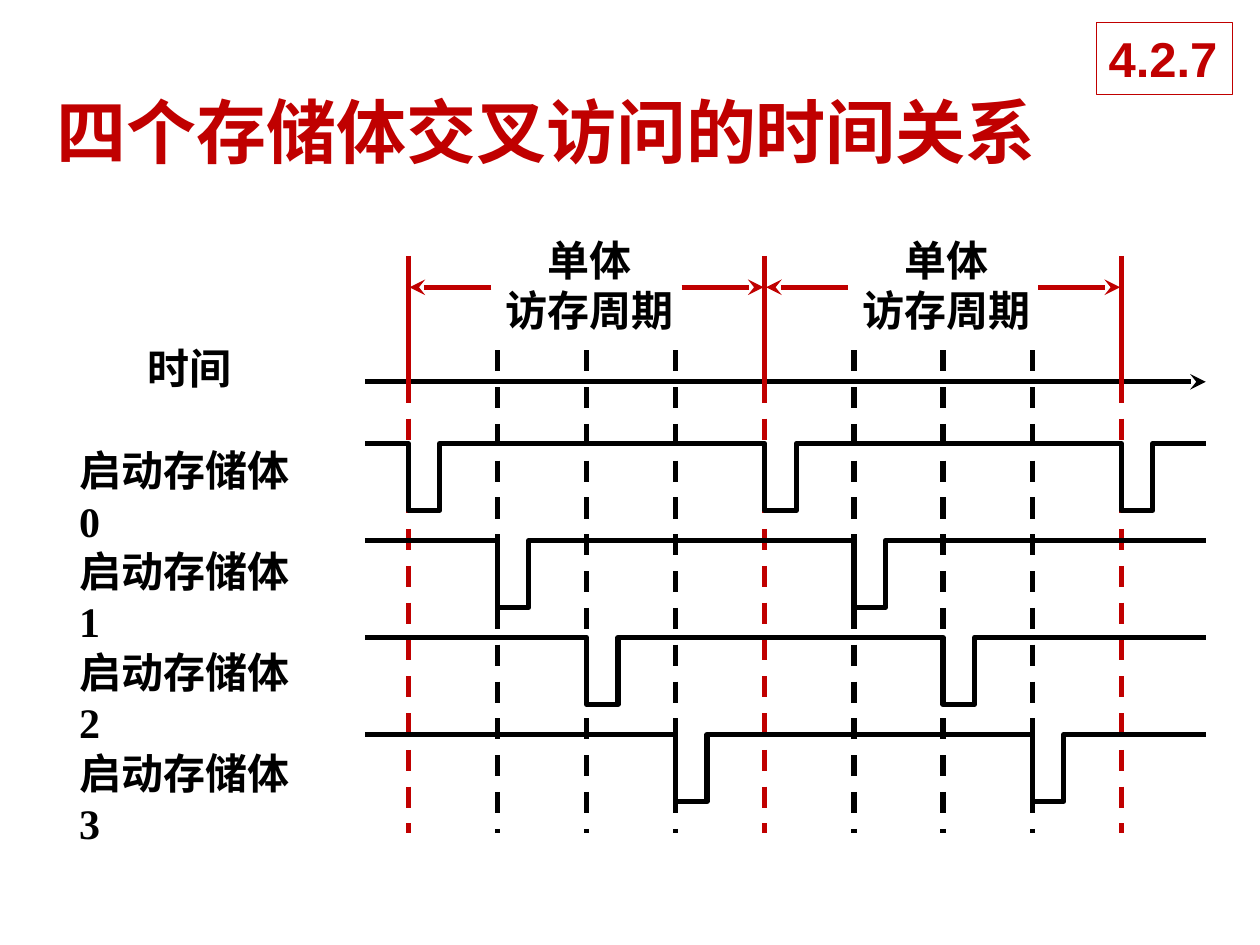
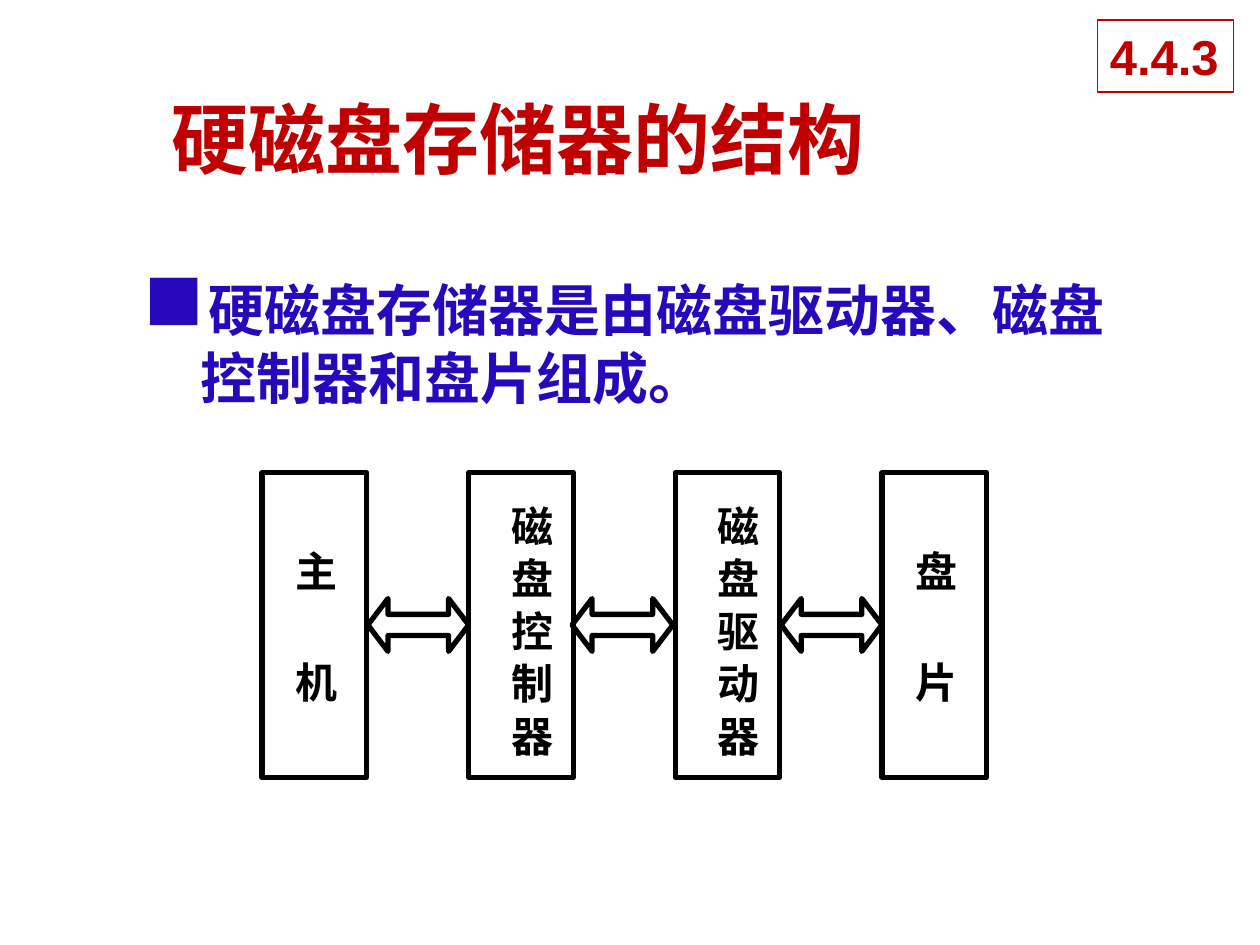
from lxml import etree
from pptx import Presentation
from pptx.dml.color import RGBColor
from pptx.enum.dml import MSO_LINE
from pptx.enum.shapes import MSO_CONNECTOR, MSO_SHAPE
from pptx.enum.text import MSO_ANCHOR, MSO_AUTO_SIZE, PP_ALIGN
from pptx.oxml.ns import qn
from pptx.util import Inches, Pt

RED = RGBColor(0xC0, 0x00, 0x00)
BLUE = RGBColor(0x27, 0x09, 0xBB)
BLACK = RGBColor(0, 0, 0)
WHITE = RGBColor(255, 255, 255)
HAN = "Noto Sans CJK SC"
SERIF = "Times New Roman"


def put(obj, vals):
    for name, val in vals.items():
        setattr(obj, name, val)


class Deck:
    """Holds the shared style and the current slide."""

    frame = dict(word_wrap=True, auto_size=MSO_AUTO_SIZE.NONE,
                 vertical_anchor=MSO_ANCHOR.TOP, margin_top=Inches(0.08),
                 margin_bottom=Inches(0.05))
    lead = 1.2

    def __init__(self):
        self.file = Presentation()
        put(self.file, dict(slide_width=Inches(10), slide_height=Inches(7.5)))
        self.slide = None

    def page(self, title, size, left, top, high):
        layout = self.file.slide_layouts[5]
        self.slide = self.file.slides.add_slide(layout)
        head = self.slide.shapes.title
        put(head, dict(left=Inches(left), top=Inches(top),
                       width=Inches(8.42), height=Inches(high)))
        head.text_frame.text = title
        put(head.text_frame, dict(word_wrap=True, auto_size=MSO_AUTO_SIZE.NONE,
                                  vertical_anchor=MSO_ANCHOR.MIDDLE))
        para = head.text_frame.paragraphs[0]
        para.alignment = PP_ALIGN.LEFT
        self.font(para, size, HAN, RED)

    def font(self, para, size, face, color):
        for run in para.runs:
            put(run.font, dict(size=Pt(size), name=face, bold=True))
            run.font.color.rgb = color
            props = run.font._element
            latin = props.find(qn("a:latin"))
            east = etree.Element(qn("a:ea"), typeface=HAN)
            latin.addnext(east)

    def text(self, lines, at, size=24, face=SERIF, color=BLACK,
             align=PP_ALIGN.LEFT, gap=0, **more):
        box = self.slide.shapes.add_textbox(*map(Inches, at))
        frame = box.text_frame
        put(frame, {**self.frame, **more})
        frame.text = "\n".join(lines)
        for num, para in enumerate(frame.paragraphs):
            put(para, dict(alignment=align, line_spacing=Pt(size * self.lead)))
            if num and gap:
                para.space_before = Pt(gap)
            self.font(para, size, face, color)
        return box

    def point(self, words, at):
        """Bulleted statement with a hanging indent."""
        box = self.text([words], at, 32, HAN, BLUE)
        props = box.text_frame.paragraphs[0]._p.get_or_add_pPr()
        props.set("marL", str(Inches(0.38)))
        props.set("indent", str(-Inches(0.38)))
        etree.SubElement(props, qn("a:buFont"), typeface="Wingdings 2")
        etree.SubElement(props, qn("a:buChar"), char="➢")

    def stack(self, chars, at, gap):
        """Label whose characters run downwards."""
        self.text(chars, at, align=PP_ALIGN.CENTER, gap=gap,
                  margin_left=Inches(0.1), margin_right=0)

    def line(self, start, end, color=BLACK, dash=False, arrow=False):
        link = self.slide.shapes.add_connector(
            MSO_CONNECTOR.STRAIGHT, *map(Inches, start + end))
        self.pen(link, color, 3)
        if dash:
            link.line.dash_style = MSO_LINE.DASH
        if arrow:
            etree.SubElement(link.line._get_or_add_ln(), qn("a:tailEnd"),
                             type="stealth")
        etree.SubElement(link._element.spPr, qn("a:effectLst"))

    def pen(self, shape, color, width):
        shape.line.color.rgb = color
        shape.line.width = Pt(width)

    def shape(self, kind, at, color=BLACK, width=3):
        item = self.slide.shapes.add_shape(kind, *map(Inches, at))
        item.shadow.inherit = False
        item.fill.background()
        self.pen(item, color, width)
        return item

    def wave(self, spots):
        pts = [(Inches(x), Inches(y)) for x, y in spots]
        path = self.slide.shapes.build_freeform(*pts[0])
        path.add_line_segments(pts[1:], close=False)
        item = path.convert_to_shape()
        item.shadow.inherit = False
        item.fill.background()
        self.pen(item, BLACK, 3)

    def tag(self, number, left, top):
        """Section number in the top right corner."""
        box = self.shape(MSO_SHAPE.RECTANGLE, (left, top, 1.08, 0.57), RED, 0.75)
        box.fill.solid()
        box.fill.fore_color.rgb = WHITE
        frame = box.text_frame
        put(frame, {**self.frame, "word_wrap": False,
                    "margin_top": Inches(0.05)})
        frame.text = number
        frame.paragraphs[0].alignment = PP_ALIGN.LEFT
        self.font(frame.paragraphs[0], 28, "Arial", RED)


def timing(deck):
    deck.page("四个存储体交叉访问的时间关系", 40, 0.35, 0.65, 0.77)
    first, cycle, banks = 3.24, 2.83, 4
    start, end, axis, foot = 2.9, 9.57, 3.03, 6.61
    step = cycle / banks
    marks = [first + cycle * num for num in range(3)]

    for num in range(2 * banks + 1):
        x = first + step * num
        edge = num % banks == 0
        deck.line((x, axis if edge else 2.78), (x, foot),
                  RED if edge else BLACK, dash=True)
    deck.text(["时间"], (1.07, 2.64, 0.87, 0.5))
    deck.line((start, axis), (end, axis), arrow=True)

    for bank in range(banks):
        high = 3.52 + 0.77 * bank
        low = high + 0.53
        spots = [(start, high)]
        for mark in marks:
            x = mark + step * bank
            if x < end:
                spots += [(x, high), (x, low), (x + 0.25, low), (x + 0.25, high)]
        deck.wave(spots + [(end, high)])
        deck.text([f"启动存储体 {bank}"], (0.53, 3.45 + 0.8 * bank, 2.14, 0.5),
                  margin_right=Inches(0.25))

    for left, right in zip(marks, marks[1:]):
        deck.text(["单体", "访存周期"], (left + 0.66, 1.78, 1.56, 0.91),
                  align=PP_ALIGN.CENTER, margin_left=0, margin_right=0)
        deck.line((left + 0.66, 2.28), (left + 0.01, 2.28), RED, arrow=True)
        deck.line((right - 0.66, 2.28), (right - 0.01, 2.28), RED, arrow=True)
    for mark in marks:
        deck.line((mark, 2.03), (mark, 3.11), RED)
    deck.tag("4.2.7", 8.7, 0.18)


def disk(deck):
    deck.page("硬磁盘存储器的结构", 44, 1.26, 0.68, 0.83)
    deck.point("硬磁盘存储器是由磁盘驱动器、磁盘控制器和盘片组成。",
               (1.11, 2.11, 7.85, 1.2))
    parts = ["主机", "磁盘控制器", "磁盘驱动器", "盘片"]
    for num, part in enumerate(parts):
        left = 2.08 + 1.64 * num
        deck.shape(MSO_SHAPE.RECTANGLE, (left, 3.75, 0.83, 2.42))
        if len(part) == 2:
            deck.stack(part, (left + 0.08, 4.25, 0.61, 1.35), 34.6)
        else:
            deck.stack(part, (left + 0.15, 3.89, 0.61, 2.09), 1.2)
    for left in (2.92, 4.54, 6.2):
        arrow = deck.shape(MSO_SHAPE.LEFT_RIGHT_ARROW, (left, 4.75, 0.8, 0.42))
        arrow.adjustments[0] = 0.4
        arrow.adjustments[1] = 0.38
    deck.tag("4.4.3", 8.71, 0.16)


def main():
    deck = Deck()
    timing(deck)
    disk(deck)
    deck.file.save("out.pptx")


if __name__ == "__main__":
    main()
